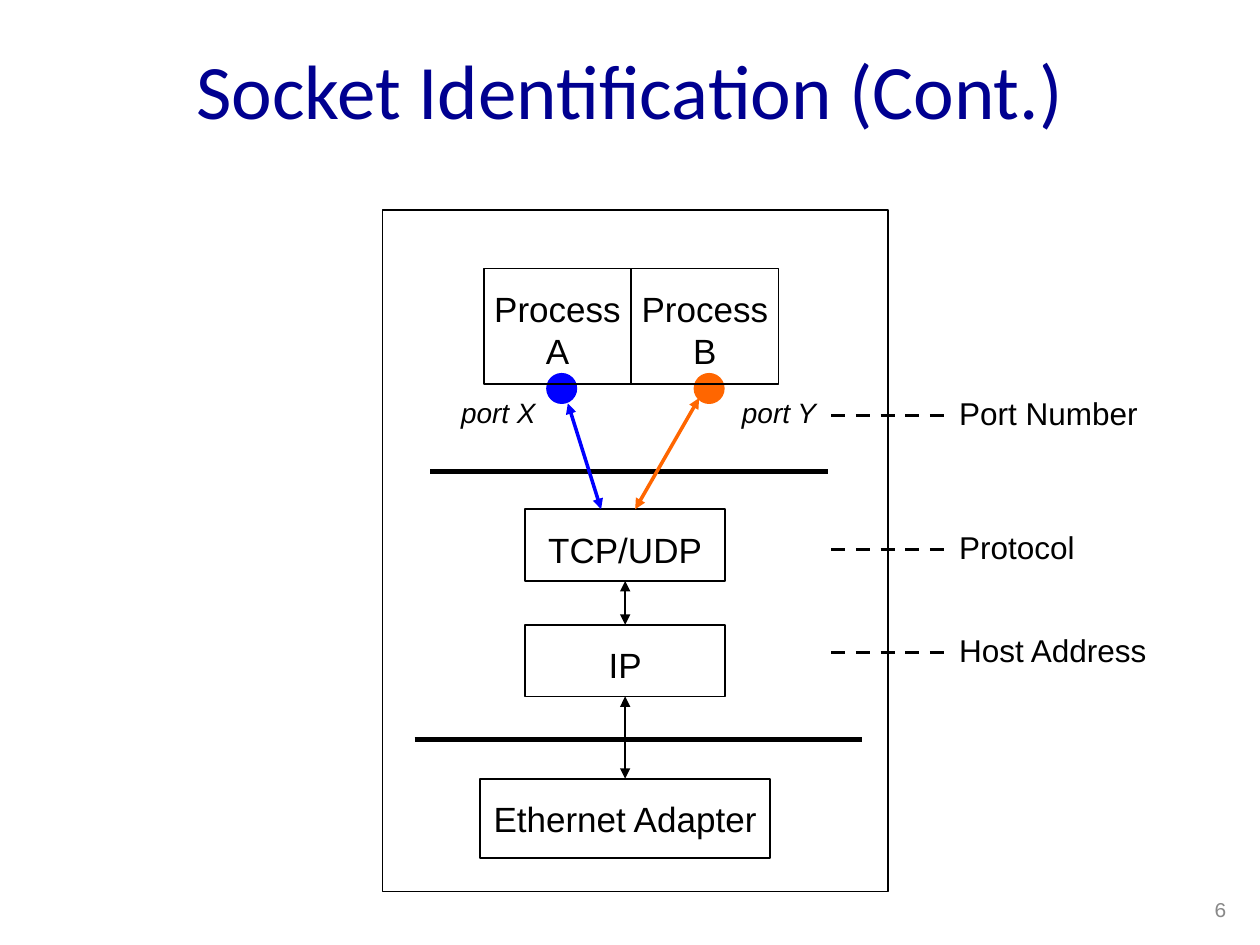
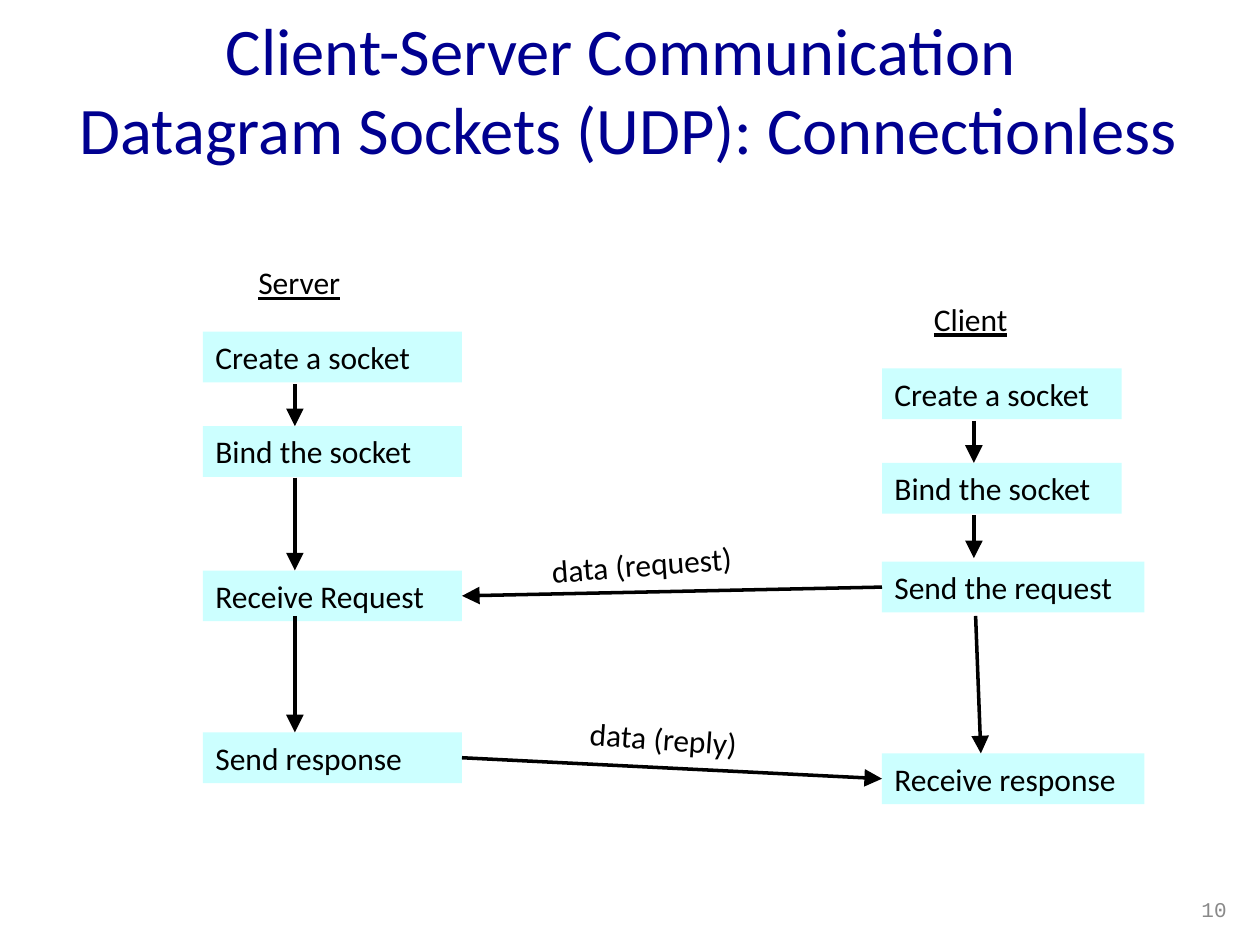
from lxml.etree import SubElement
from pptx import Presentation
from pptx.dml.color import RGBColor
from pptx.enum.dml import MSO_LINE_DASH_STYLE as Dash
from pptx.enum.shapes import MSO_CONNECTOR_TYPE as Connector, MSO_SHAPE as Shape
from pptx.enum.text import MSO_ANCHOR as Anchor, MSO_AUTO_SIZE as AutoSize, PP_ALIGN as Align
from pptx.oxml.ns import qn
from pptx.util import Pt

NAVY = "000090"
BLACK = "000000"
GRAY = "898989"
BLUE = "0000FF"
ORANGE = "FF6600"
AQUA = "CCFFFF"
SANS = "Arial"
HUMANIST = "Calibri"
MONO = "Courier New"
TOP, LEFT, BOTTOM, RIGHT = range(4)


def color(value):
    return RGBColor.from_string(value)


def write(shape, text, size=18, font=HUMANIST, ink=BLACK, align=Align.LEFT, anchor=Anchor.TOP,
          italic=False, underline=False, wrap=True, fit=False, insets=(7.2, 3.6)):
    frame = shape.text_frame
    frame.word_wrap = wrap
    frame.auto_size = AutoSize.SHAPE_TO_FIT_TEXT if fit else AutoSize.NONE
    frame.vertical_anchor = anchor
    frame.margin_left = frame.margin_right = Pt(insets[0])
    frame.margin_top = frame.margin_bottom = Pt(insets[1])
    frame.text = text
    for paragraph in frame.paragraphs:
        paragraph.alignment = align
        for line_break in paragraph._p.findall(qn("a:br")):
            SubElement(line_break, qn("a:rPr"), sz=str(size * 100))
        for run in paragraph.runs:
            run.font.size = Pt(size)
            run.font.name = font
            run.font.color.rgb = color(ink)
            run.font.italic = italic
            run.font.underline = underline


def add_label(slide, text, x, y, width, height=29, rotation=0, **style):
    label = slide.shapes.add_textbox(Pt(x), Pt(y), Pt(width), Pt(height))
    label.rotation = rotation
    write(label, text, **{"wrap": False, "fit": True, **style})


def add_figure(slide, kind, x, y, width, height, fill=None, outline=None, weight=0.75):
    figure = slide.shapes.add_shape(kind, Pt(x), Pt(y), Pt(width), Pt(height))
    figure.shadow.inherit = False
    if fill:
        figure.fill.solid()
        figure.fill.fore_color.rgb = color(fill)
    else:
        figure.fill.background()
    if outline:
        figure.line.color.rgb = color(outline)
        figure.line.width = Pt(weight)
    else:
        figure.line.fill.background()
    return figure


def add_layer(slide, text, x, y, width, height):
    layer = add_figure(slide, Shape.RECTANGLE, x, y, width, height, outline=BLACK, weight=1)
    write(layer, text, size=20, font=SANS, align=Align.CENTER, wrap=False, insets=(7.2, 10.8))
    return layer


def add_step(slide, text, x, y, width):
    step = add_figure(slide, Shape.RECTANGLE, x, y, width, 29, fill=AQUA)
    write(step, text, fit=True)
    return step


def add_line(slide, start=(0, 0), end=(0, 0), ink=BLACK, weight=2.0, dashed=False,
             heads=(), head_size="med"):
    line = slide.shapes.add_connector(Connector.STRAIGHT, *map(Pt, (*start, *end)))
    line.line.color.rgb = color(ink)
    line.line.width = Pt(weight)
    if dashed:
        line.line.dash_style = Dash.DASH
    stroke = line.line._get_or_add_ln()
    for head in heads:
        SubElement(stroke, qn(f"a:{head}"), type="triangle", w=head_size, len=head_size)
    SubElement(line._element.spPr, qn("a:effectLst"))
    return line


def join(slide, source, source_side, target, target_side, **style):
    link = add_line(slide, **style)
    link.begin_connect(source, source_side)
    link.end_connect(target, target_side)


def start_slide(deck, title, number, size, x, width):
    slide = deck.slides.add_slide(deck.slide_layouts[5])
    heading = slide.shapes.title
    heading.left, heading.top, heading.width, heading.height = map(Pt, (x, 5.5, width, 90))
    write(heading, title, size=size, ink=NAVY, align=Align.CENTER, anchor=Anchor.MIDDLE)
    add_label(slide, number, 540, 505, 168, size=12, font=MONO, ink=GRAY,
              align=Align.RIGHT, anchor=Anchor.MIDDLE, wrap=True, fit=False)
    return slide


def build_identification(deck):
    slide = start_slide(deck, "Socket Identification (Cont.)", "6", 44, 36, 648)
    both_ends = ("headEnd", "tailEnd")

    transport = add_layer(slide, "TCP/UDP", 300, 291, 114.5, 41)
    network = add_layer(slide, "IP", 300, 357, 114.5, 41)
    adapter = add_layer(slide, "Ethernet Adapter", 274.5, 445, 165.5, 45.5)
    for upper, lower in ((transport, network), (network, adapter)):
        join(slide, upper, BOTTOM, lower, TOP, weight=0.75, heads=both_ends)

    add_figure(slide, Shape.RECTANGLE, 218.5, 120, 289, 389.5, outline=BLACK)
    add_line(slide, (246, 269.5), (473, 269.5), weight=3)
    add_line(slide, (237, 422.5), (492.5, 422.5), weight=3)

    processes = (
        ("A", "port X", 255.5, BLUE, (324.5, 230.5), (343.5, 291)),
        ("B", "port Y", 416, ORANGE, (399.5, 227.5), (363, 291)),
    )
    for index, (process, port, port_x, ink, socket, entry) in enumerate(processes):
        offset = index * 84.25
        add_figure(slide, Shape.OVAL, 312.5 + offset, 213.5, 17, 17, fill=ink, outline=ink)
        add_line(slide, socket, entry, ink=ink, heads=both_ends)
        add_layer(slide, f"Process\n{process}", 276.5 + offset, 153.5, 84.25, 66)
        add_label(slide, port, port_x, 221.5, 66, 27, size=16, font=SANS, italic=True,
                  insets=(8, 4.3))

    callouts = (("Port Number", 237.5), ("Protocol", 314), ("Host Address", 373))
    for text, y in callouts:
        add_line(slide, (475, y), (540.5, y), dashed=True)
        add_label(slide, text, 541, y - 16, 130, font=SANS)


def build_datagram(deck):
    title = "Client-Server Communication \vDatagram Sockets (UDP): Connectionless"
    slide = start_slide(deck, title, "10", 38, 18, 682.5)
    arrow = {"heads": ("tailEnd",), "head_size": "lg"}

    add_label(slide, "Server", 140.5, 147, 66, underline=True)
    add_label(slide, "Client", 526.5, 168, 62, underline=True)

    server_steps = (("Create a socket", 189.5), ("Bind the socket", 243.5),
                    ("Receive Request", 326), ("Send response", 418.5))
    client_steps = (("Create a socket", 210.5, 137), ("Bind the socket", 264.5, 137),
                    ("Send the request", 321, 150), ("Receive response", 430.5, 150))
    server = [add_step(slide, text, 116, y, 148) for text, y in server_steps]
    client = [add_step(slide, text, 504, y, width) for text, y, width in client_steps]

    for start_y, end_y in ((219.5, 243.5), (273, 326), (352, 418.5)):
        add_line(slide, (168.5, start_y), (168.5, end_y), **arrow)
    for start_y, end_y in ((240.5, 264.5), (294.5, 319)):
        add_line(slide, (556.5, start_y), (556.5, end_y), **arrow)
    add_line(slide, (557.5, 352), (560.5, 430.5), **arrow)

    join(slide, client[2], LEFT, server[2], RIGHT, **arrow)
    add_label(slide, "data (request)", 308, 308, 118, rotation=-4.2)
    join(slide, server[3], RIGHT, client[3], LEFT, **arrow)
    add_label(slide, "data (reply)", 330, 407.5, 98.5, rotation=4.1)


def main():
    deck = Presentation()
    deck.slide_width, deck.slide_height = Pt(720), Pt(540)
    build_identification(deck)
    build_datagram(deck)
    deck.save("out.pptx")


if __name__ == "__main__":
    main()
